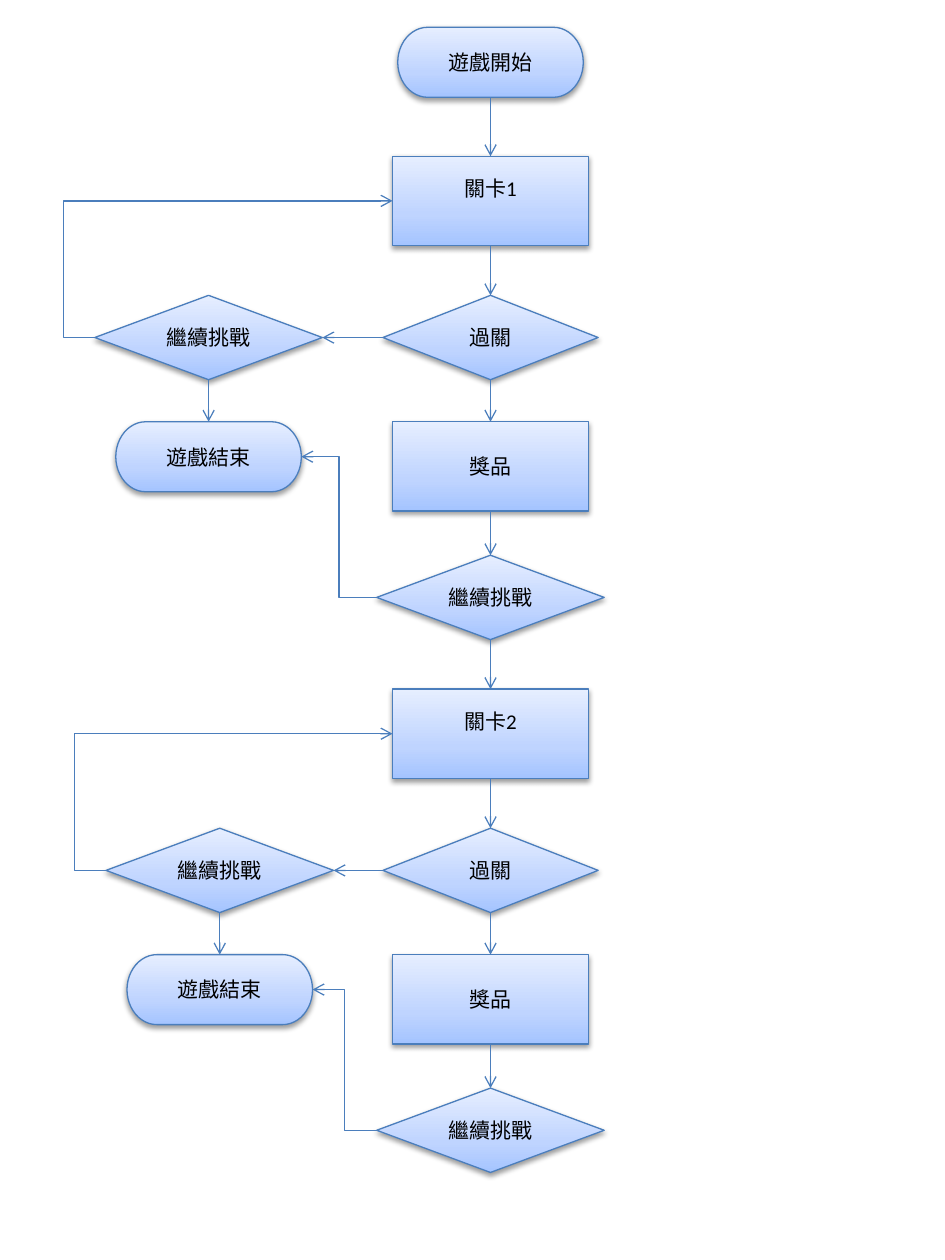
import pptx
import pptx.util
import pptx.dml.color
import pptx.enum.shapes
import pptx.enum.text
import pptx.oxml
import pptx.oxml.ns
from dataclasses import dataclass

Pt = pptx.util.Pt
Kind = pptx.enum.shapes.MSO_SHAPE
Wire = pptx.enum.shapes.MSO_CONNECTOR
qn = pptx.oxml.ns.qn
NS = pptx.oxml.ns.nsdecls("a")

HUES = {"line": "4B7EBC", "text": "000000", "shade": "000000",
        "low": "A4C4FF", "mid": "BFD4FF", "high": "E6EEFF"}
STOPS = [(0, "low"), (35, "mid"), (100, "high")]
TOP, LEFT, BASE, RIGHT = range(4)
MAIN = 280.3
STEP = 304.5


@dataclass
class Form:
    kind: int
    wide: float
    high: float


END = Form(Kind.FLOWCHART_TERMINATOR, 106, 40)
TASK = Form(Kind.FLOWCHART_PROCESS, 112, 51)
TEST = Form(Kind.FLOWCHART_DECISION, 123, 48.2)
ASK = Form(Kind.FLOWCHART_DECISION, 130, 48.2)


@dataclass
class Round:
    name: str
    side: float
    top: float


ROUNDS = [Round("關卡1", 119.2, 89.3), Round("關卡2", 125.6, 89.3 + STEP)]


def tint(name: str):
    return pptx.dml.color.RGBColor.from_string(HUES[name])


def write(shape, text: str, *, size: float = 12, font: str = "Calibri",
          hue: str = "text", foot: float = 3.6) -> None:
    frame = shape.text_frame
    frame.word_wrap = True
    frame.vertical_anchor = pptx.enum.text.MSO_ANCHOR.MIDDLE
    frame.margin_bottom = Pt(foot)
    para = frame.paragraphs[0]
    para.alignment = pptx.enum.text.PP_ALIGN.CENTER
    run = para.add_run()
    run.text = text
    run.font.size = Pt(size)
    run.font.name = font
    run.font.color.rgb = tint(hue)


def shade(shape) -> None:
    shape.fill.gradient()
    shape.fill.gradient_angle = 90
    props = shape._element.spPr
    stops = props.find(".//" + qn("a:gsLst"))
    for stop in list(stops):
        stops.remove(stop)
    for place, name in STOPS:
        stops.append(pptx.oxml.parse_xml(
            f'<a:gs {NS} pos="{place * 1000}"><a:srgbClr val="{HUES[name]}"/></a:gs>'))
    shape.line.color.rgb = tint("line")
    shape.line.width = Pt(0.75)
    props.append(pptx.oxml.parse_xml(
        f'<a:effectLst {NS}><a:outerShdw blurRad="{Pt(3.1)}" dist="{Pt(1.6)}" '
        f'dir="5400000" rotWithShape="0"><a:srgbClr val="{HUES["shade"]}">'
        '<a:alpha val="38000"/></a:srgbClr></a:outerShdw></a:effectLst>'))


def node(form: Form, mid: float, top: float, text: str, **style):
    shape = slide.shapes.add_shape(form.kind, Pt(mid - form.wide / 2), Pt(top),
                                   Pt(form.wide), Pt(form.high))
    shade(shape)
    write(shape, text, **style)
    return shape


def link(start, out: int, stop, into: int, bent: bool = False, loop: float = 0):
    kind = Wire.ELBOW if bent else Wire.STRAIGHT
    wire = slide.shapes.add_connector(kind, 0, 0, 0, 0)
    wire.begin_connect(start, out)
    wire.end_connect(stop, into)
    wire.line.color.rgb = tint("line")
    wire.line.width = Pt(0.75)
    props = wire._element.spPr
    props.find(qn("a:ln")).append(pptx.oxml.parse_xml(f'<a:tailEnd {NS} type="arrow"/>'))
    props.append(pptx.oxml.parse_xml(f"<a:effectLst {NS}/>"))
    if loop:
        bend = round(-Pt(loop) / wire.width * 100000)
        props.find(".//" + qn("a:avLst")).append(pptx.oxml.parse_xml(
            f'<a:gd {NS} name="adj1" fmla="val {bend}"/>'))


def stage(turn: Round, prior):
    level = node(TASK, MAIN, turn.top, turn.name, foot=18)
    test = node(TEST, MAIN, turn.top + 79.5, "過關")
    prize = node(TASK, MAIN, turn.top + 151.7, "獎品")
    ask = node(ASK, MAIN, turn.top + 228, "繼續挑戰")
    retry = node(ASK, turn.side, turn.top + 79.5, "繼續挑戰")
    over = node(END, turn.side, turn.top + 151.7, "遊戲結束")
    chain = [prior, level, test, prize, ask]
    for start, stop in [*zip(chain, chain[1:]), (retry, over)]:
        link(start, BASE, stop, TOP)
    link(test, LEFT, retry, RIGHT)
    link(retry, LEFT, level, LEFT, bent=True, loop=18)
    link(ask, LEFT, over, RIGHT, bent=True)
    return ask


deck = pptx.Presentation()
deck.slide_width, deck.slide_height = Pt(540), Pt(720)
slide = deck.slides.add_slide(deck.slide_layouts[6])
last = node(END, MAIN, 15.6, "遊戲開始")
for turn in ROUNDS:
    last = stage(turn, last)
deck.save("out.pptx")
